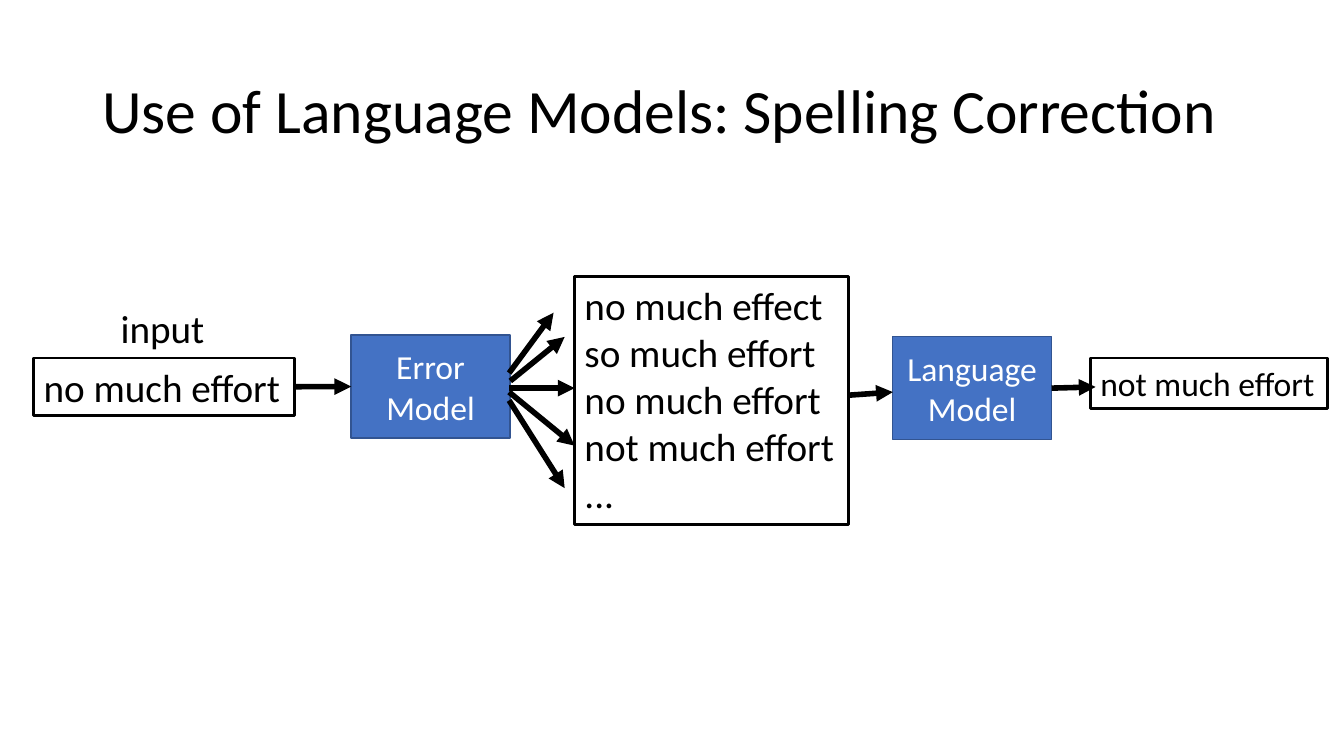
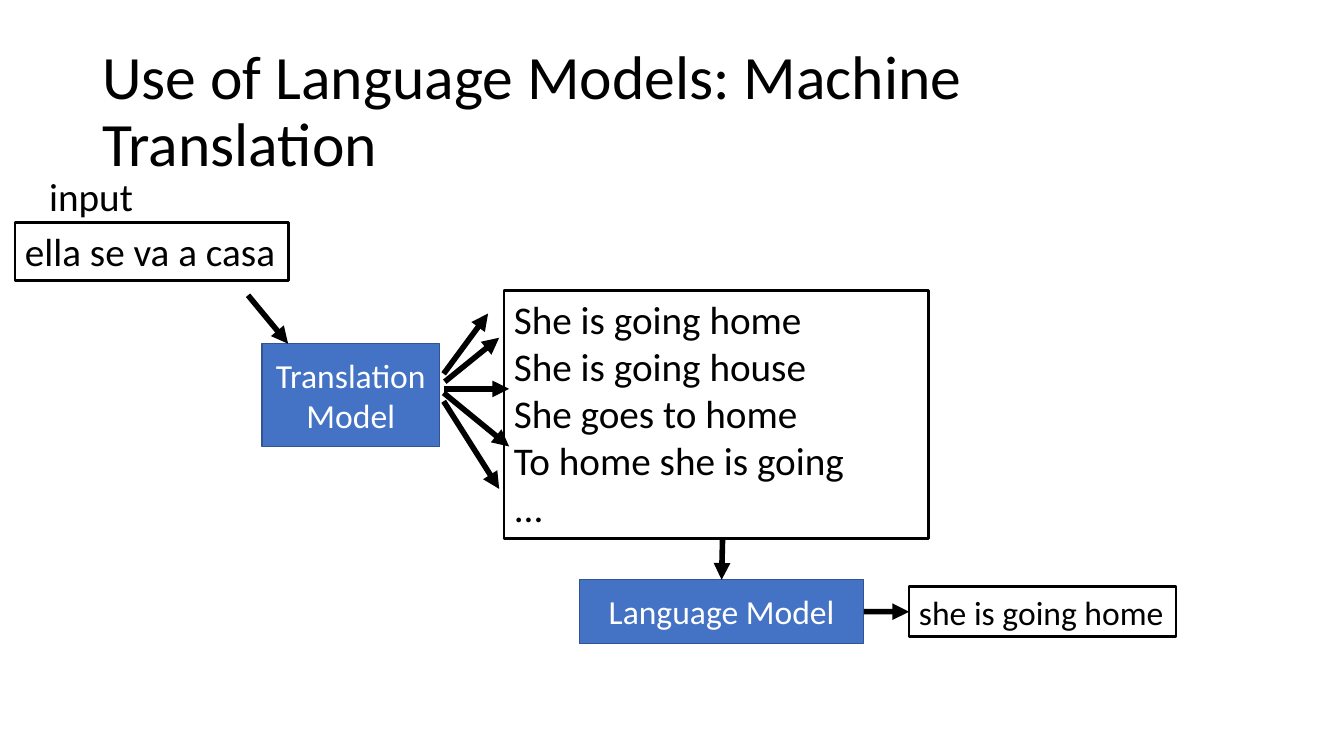
import dataclasses

import pptx
import pptx.dml.color
import pptx.enum.shapes
import pptx.enum.text
import pptx.oxml
import pptx.oxml.ns
import pptx.util

Cm = pptx.util.Cm
Pt = pptx.util.Pt
RGB = pptx.dml.color.RGBColor
Align = pptx.enum.text.PP_ALIGN
Anchor = pptx.enum.text.MSO_ANCHOR
AutoSize = pptx.enum.text.MSO_AUTO_SIZE

TOP, LEFT, BOTTOM, RIGHT = range(4)


@dataclasses.dataclass(frozen=True)
class Theme:
    font: str = "Calibri"
    ink: RGB = RGB(0x00, 0x00, 0x00)
    model_fill: RGB = RGB(0x44, 0x72, 0xC4)
    model_edge: RGB = RGB(0x32, 0x54, 0x91)
    model_ink: RGB = RGB(0xFF, 0xFF, 0xFF)
    title_size: int = 44
    phrase_size: int = 28
    small_size: int = 24
    arrow_width: int = 4
    box_width: int = 2
    edge_width: int = 1


# Fan of arrows from a model to its candidates: start and end, from the fan's origin
FAN = [
    ((0.03, 0.2), (1.4, -0.91)),
    ((0, 0.38), (1.65, 0.38)),
    ((0, 0.48), (1.65, 1.83)),
    ((0, 0.69), (1.4, 2.9)),
    ((0, 0), (1.12, -1.52)),
]


def write_text(frame, text, *, font, size, color, align=Align.LEFT,
               anchor=Anchor.TOP, wrap=True, spacing=None):
    """Fill a frame: a newline starts a paragraph, a vertical tab breaks a line."""
    frame.word_wrap = wrap
    frame.vertical_anchor = anchor
    for index, line in enumerate(text.split("\n")):
        paragraph = frame.add_paragraph() if index else frame.paragraphs[0]
        paragraph.text = line
        paragraph.alignment = align
        paragraph.line_spacing = spacing
        for run in paragraph.runs:
            run.font.name = font
            run.font.size = Pt(size)
            run.font.color.rgb = color


class Deck:
    def __init__(self, theme):
        self.theme = theme
        self.file = pptx.Presentation()
        self.file.slide_width = Cm(33.87)
        self.file.slide_height = Cm(19.05)
        self.slide = None

    def new_slide(self, title):
        self.slide = self.file.slides.add_slide(self.file.slide_layouts[6])
        heading = self.slide.shapes.add_textbox(Cm(2.33), Cm(1.01), Cm(29.21), Cm(3.68))
        write_text(heading.text_frame, title, font=self.theme.font,
                   size=self.theme.title_size, color=self.theme.ink,
                   anchor=Anchor.MIDDLE, spacing=0.9)

    def phrase(self, text, left, top, width, height, *, size=None, framed=True, wrap=False):
        """Plain text, usually in a black frame."""
        box = self.slide.shapes.add_textbox(Cm(left), Cm(top), Cm(width), Cm(height))
        if framed:
            box.line.color.rgb = self.theme.ink
            box.line.width = Pt(self.theme.box_width)
        write_text(box.text_frame, text, font=self.theme.font,
                   size=size or self.theme.phrase_size, color=self.theme.ink, wrap=wrap)
        box.text_frame.auto_size = AutoSize.SHAPE_TO_FIT_TEXT
        return box

    def model(self, text, left, top, width, height):
        """Blue block that stands for a model."""
        block = self.slide.shapes.add_shape(
            pptx.enum.shapes.MSO_SHAPE.RECTANGLE,
            Cm(left), Cm(top), Cm(width), Cm(height))
        block.shadow.inherit = False
        block.fill.solid()
        block.fill.fore_color.rgb = self.theme.model_fill
        block.line.color.rgb = self.theme.model_edge
        block.line.width = Pt(self.theme.edge_width)
        write_text(block.text_frame, text, font=self.theme.font,
                   size=self.theme.small_size, color=self.theme.model_ink,
                   align=Align.CENTER, anchor=Anchor.MIDDLE)
        return block

    def arrow(self, start=(0, 0), end=(0, 0), *, source=None, target=None):
        """Arrow between points; source and target are (shape, side) joints."""
        arrow = self.slide.shapes.add_connector(
            pptx.enum.shapes.MSO_CONNECTOR.STRAIGHT,
            *(Cm(value) for value in (*start, *end)))
        if source:
            arrow.begin_connect(*source)
        if target:
            arrow.end_connect(*target)
        arrow.line.color.rgb = self.theme.ink
        arrow.line.width = Pt(self.theme.arrow_width)
        head = pptx.oxml.parse_xml(
            f'<a:tailEnd {pptx.oxml.ns.nsdecls("a")} type="triangle"/>')
        arrow.line._get_or_add_ln().append(head)
        no_shadow = pptx.oxml.parse_xml(f'<a:effectLst {pptx.oxml.ns.nsdecls("a")}/>')
        arrow._element.spPr.append(no_shadow)

    def fan(self, x, y):
        for (x1, y1), (x2, y2) in FAN:
            self.arrow((x + x1, y + y1), (x + x2, y + y2))


def spelling_correction(deck):
    deck.new_slide("Use of Language Models: Spelling Correction")

    # Input and error model
    deck.phrase("input", 2.79, 7.55, 2.63, 1.45, framed=False)
    typed = deck.phrase("no much effort", 0.85, 9.02, 6.57, 1.45)
    error_model = deck.model("Error Model", 8.85, 8.44, 4, 2.6)
    deck.arrow(source=(typed, RIGHT), target=(error_model, LEFT))

    # Candidates
    deck.fan(12.83, 9.4)
    deck.phrase("no much effect\nso much effort\nno much effort\nnot much effort\n...",
                14.48, 6.96, 6.9, 6.25)

    # Language model and its choice
    language_model = deck.model("Language\vModel", 22.5, 8.48, 4, 2.6)
    deck.arrow((21.36, 9.96), (22.5, 9.88))
    deck.phrase("not much effort", 27.48, 9.02, 5.97, 1.27, size=deck.theme.small_size)
    deck.arrow(end=(27.61, 9.75), source=(language_model, RIGHT))


def machine_translation(deck):
    deck.new_slide("Use of Language Models: Machine Translation")

    # Input and translation model
    deck.phrase("input", 0.99, 4.22, 2.63, 1.45, framed=False)
    deck.phrase("ella se va a casa", 0.38, 5.61, 6.9, 1.45)
    deck.model("Translation\vModel", 6.6, 8.66, 4.48, 2.6)
    deck.arrow((6.25, 7.44), (7.26, 8.66))

    # Candidates
    deck.fan(11.18, 9.42)
    deck.phrase("She is going home\nShe is going house\nShe goes to home\n"
                "To home she is going\n...", 12.7, 7.32, 10.7, 6.25, wrap=True)

    # Language model and its choice
    language_model = deck.model("Language Model", 14.6, 14.61, 7.17, 1.6)
    deck.arrow((18.21, 13.54), target=(language_model, TOP))
    chosen = deck.phrase("she is going home", 22.91, 14.78, 6.73, 1.27,
                         size=deck.theme.small_size)
    deck.arrow(source=(language_model, RIGHT), target=(chosen, LEFT))


def main():
    deck = Deck(Theme())
    spelling_correction(deck)
    machine_translation(deck)
    deck.file.save("out.pptx")


if __name__ == "__main__":
    main()
